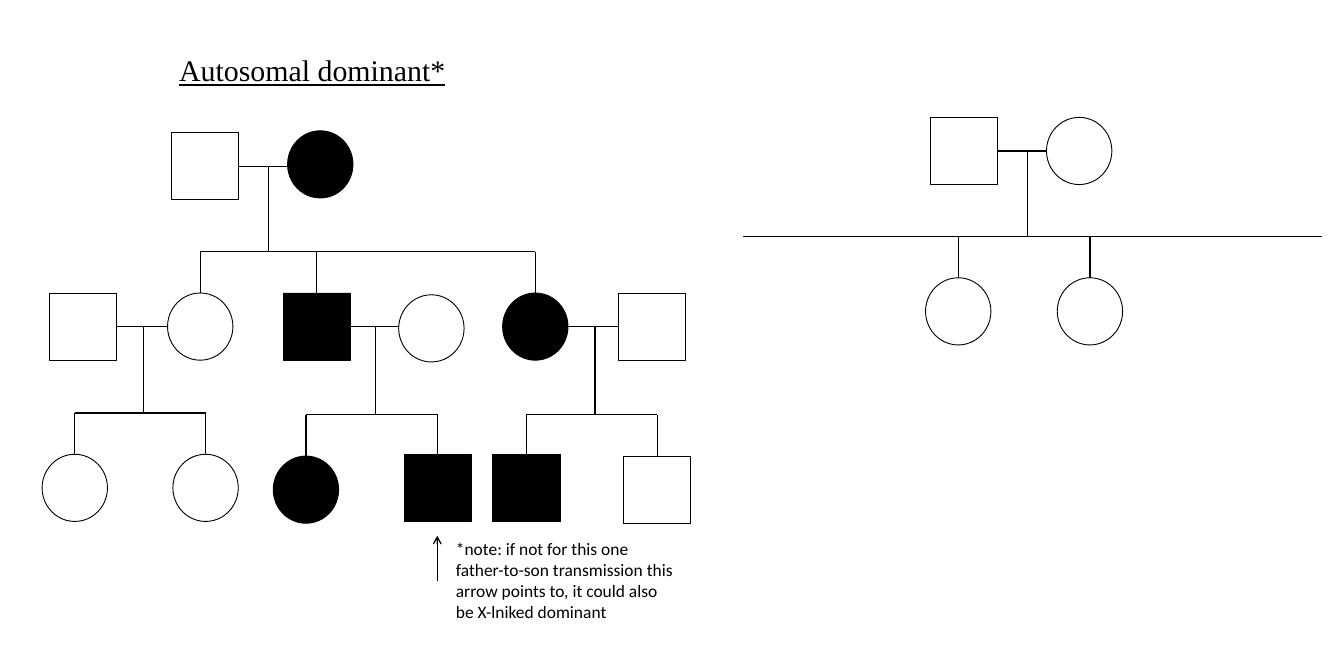
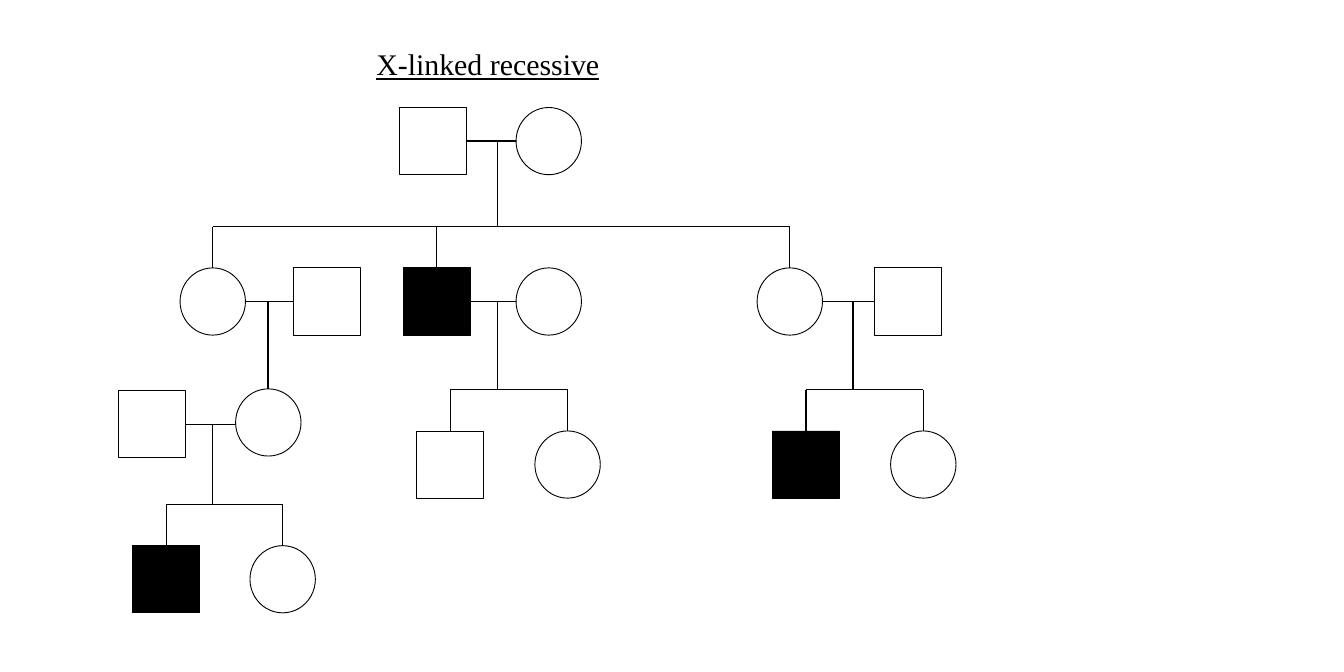
import pptx
import pptx.util
import pptx.dml.color
import pptx.enum.shapes
import pptx.enum.text
import pptx.oxml.ns
import pptx.oxml.xmlchemy

BLACK = pptx.dml.color.RGBColor(0x00, 0x00, 0x00)
WHITE = pptx.dml.color.RGBColor(0xFF, 0xFF, 0xFF)

SHAPES = pptx.enum.shapes.MSO_SHAPE
MALE = (SHAPES.RECTANGLE, 0.75)
FEMALE = (SHAPES.OVAL, 0.73)
SYMBOL_HEIGHT = 0.75
DROP = pptx.util.Inches(0.46)  # sibling bar to child
TOP, LEFT, RIGHT = 0, 1, 3  # connection sites of a rectangle

TITLE_FONT = {"name": "Times New Roman", "size": pptx.util.Pt(24), "underline": True}
NOTE_FONT = {"name": "Calibri", "size": pptx.util.Pt(14)}

# Person: sex, affected, left, top. Family: partners (left, right), stem, children.
# All lengths are inches from the corner of the pedigree box.
DOMINANT_PEOPLE = {
    "grandfather": (MALE, False, 1.44, 0.02),
    "grandmother": (FEMALE, True, 2.74, 0),
    "first husband": (MALE, False, 0.08, 1.81),
    "first daughter": (FEMALE, False, 1.40, 1.81),
    "son": (MALE, True, 2.69, 1.81),
    "son's wife": (FEMALE, False, 3.98, 1.83),
    "second daughter": (FEMALE, True, 5.14, 1.81),
    "second husband": (MALE, False, 6.43, 1.81),
    "girl 1": (FEMALE, False, 0, 3.61),
    "girl 2": (FEMALE, False, 1.46, 3.61),
    "girl 3": (FEMALE, True, 2.58, 3.63),
    "boy 1": (MALE, True, 4.04, 3.61),
    "boy 2": (MALE, True, 5.03, 3.61),
    "boy 3": (MALE, False, 6.49, 3.63),
}
DOMINANT_FAMILIES = [
    ("grandfather", "grandmother", 2.53, ["first daughter", "son", "second daughter"]),
    ("first husband", "first daughter", 1.13, ["girl 1", "girl 2"]),
    ("son", "son's wife", 3.72, ["girl 3", "boy 1"]),
    ("second daughter", "second husband", 6.17, ["boy 2", "boy 3"]),
]

UNAFFECTED_PEOPLE = {
    "father": (MALE, False, 2.09, 0),
    "mother": (FEMALE, False, 3.39, 0),
    "daughter 1": (FEMALE, False, 2.04, 1.79),
    "daughter 2": (FEMALE, False, 3.51, 1.79),
}
UNAFFECTED_FAMILIES = [("father", "mother", 3.18, ["daughter 1", "daughter 2"])]

RECESSIVE_PEOPLE = {
    "grandfather": (MALE, False, 3.14, 0),
    "grandmother": (FEMALE, False, 4.44, 0),
    "first daughter": (FEMALE, False, 0.69, 1.79),
    "first husband": (MALE, False, 1.95, 1.79),
    "son": (MALE, True, 3.18, 1.79),
    "son's wife": (FEMALE, False, 4.44, 1.79),
    "second daughter": (FEMALE, False, 7.13, 1.79),
    "second husband": (MALE, False, 8.44, 1.79),
    "granddaughter": (FEMALE, False, 1.31, 3.14),
    "her husband": (MALE, False, 0, 3.16),
    "boy 1": (MALE, False, 3.33, 3.61),
    "girl 1": (FEMALE, False, 4.65, 3.61),
    "boy 2": (MALE, True, 7.30, 3.61),
    "girl 2": (FEMALE, False, 8.62, 3.61),
    "great-grandson": (MALE, True, 0.16, 4.89),
    "great-granddaughter": (FEMALE, False, 1.47, 4.89),
}
RECESSIVE_FAMILIES = [
    ("grandfather", "grandmother", 4.23, ["first daughter", "son", "second daughter"]),
    ("first daughter", "first husband", 1.67, ["granddaughter"]),
    ("son", "son's wife", 4.23, ["boy 1", "girl 1"]),
    ("second daughter", "second husband", 8.20, ["boy 2", "girl 2"]),
    ("her husband", "granddaughter", 1.05, ["great-grandson", "great-granddaughter"]),
]


def set_values(target, values):
    for name, value in values.items():
        setattr(target, name, value)


def to_inches(*lengths):
    return [pptx.util.Inches(length) for length in lengths]


def add_line(page, x1, y1, x2, y2):
    line = page.shapes.add_connector(
        pptx.enum.shapes.MSO_CONNECTOR.STRAIGHT, x1, y1, x2, y2)
    line.line.color.rgb = BLACK
    line.line.width = pptx.util.Pt(1)
    line._element.spPr.append(pptx.oxml.xmlchemy.OxmlElement("a:effectLst"))
    return line


def add_arrow(page, x1, y1, x2, y2):
    arrow = add_line(page, x1, y1, x2, y2)
    head = pptx.oxml.xmlchemy.OxmlElement("a:tailEnd")
    head.set("type", "arrow")
    arrow._element.spPr.find(pptx.oxml.ns.qn("a:ln")).append(head)


def add_text(page, left, top, width, height, text, font, align):
    box = page.shapes.add_textbox(*to_inches(left, top, width, height))
    set_values(box.text_frame, {
        "word_wrap": True,
        "auto_size": pptx.enum.text.MSO_AUTO_SIZE.SHAPE_TO_FIT_TEXT,
    })
    para = box.text_frame.paragraphs[0]
    para.alignment = align
    span = para.add_run()
    span.text = text
    set_values(span.font, font)
    span.font.color.rgb = BLACK


def add_title(page, left, top, text):
    add_text(page, left, top, 5.03, 0.5, text, TITLE_FONT, pptx.enum.text.PP_ALIGN.CENTER)


def add_person(page, sex, affected, left, top):
    preset, width = sex
    person = page.shapes.add_shape(preset, *to_inches(left, top, width, SYMBOL_HEIGHT))
    person.shadow.inherit = False
    person.fill.solid()
    person.fill.fore_color.rgb = BLACK if affected else WHITE
    person.line.color.rgb = BLACK
    person.line.width = pptx.util.Pt(0.75)
    return person


def is_male(person):
    return person.auto_shape_type == SHAPES.RECTANGLE


def center(person):
    return person.left + person.width // 2


def add_family(page, first, second, stem, children, bar_ends):
    # Line between the partners, level with the middle of the square
    man = first if is_male(first) else second
    level = man.top + man.height // 2
    mates = add_line(page, first.left + first.width, level, second.left, level)
    if man is first:
        mates.begin_connect(man, RIGHT)
    else:
        mates.end_connect(man, LEFT)

    # An only child hangs straight from the stem
    lowest = max(child.top for child in children)
    if len(children) == 1:
        add_line(page, stem, level, stem, lowest)
        return

    # Stem, sibling bar and one drop for each child
    bar = lowest - DROP
    start, end = bar_ends or (center(children[0]), center(children[-1]))
    add_line(page, stem, level, stem, bar)
    add_line(page, start, bar, end, bar)
    for child in children:
        drop = add_line(page, center(child), bar, center(child), child.top)
        if is_male(child):
            drop.end_connect(child, TOP)


def add_pedigree(page, left, top, people, families, bar_width=None):
    persons = {
        name: add_person(page, sex, affected, left + x, top + y)
        for name, (sex, affected, x, y) in people.items()
    }
    bar_ends = to_inches(left, left + bar_width) if bar_width else None
    for first, second, stem, children in families:
        add_family(page, persons[first], persons[second], pptx.util.Inches(left + stem),
                   [persons[child] for child in children], bar_ends)


def add_note(page, left, top):
    add_arrow(page, *to_inches(left, top + 0.51, left, top))
    add_text(page, left + 0.11, top - 0.02, 2.66, 1.04,
             "*note: if not for this one father-to-son transmission this arrow "
             "points to, it could also be X-lniked dominant",
             NOTE_FONT, pptx.enum.text.PP_ALIGN.LEFT)


def build_dominant(page):
    add_title(page, 0.97, 0.53, "Autosomal dominant*")
    add_pedigree(page, 8.29, 1.31, UNAFFECTED_PEOPLE, UNAFFECTED_FAMILIES, bar_width=6.46)
    add_pedigree(page, 0.47, 1.46, DOMINANT_PEOPLE, DOMINANT_FAMILIES)
    add_note(page, 4.88, 5.98)


def build_recessive(page):
    add_title(page, 2.93, 0.46, "X-linked recessive")
    add_pedigree(page, 1.32, 1.2, RECESSIVE_PEOPLE, RECESSIVE_FAMILIES)


def main():
    deck = pptx.Presentation()
    set_values(deck, {
        "slide_width": pptx.util.Inches(15),
        "slide_height": pptx.util.Inches(7.5),
    })
    for build in (build_dominant, build_recessive):
        build(deck.slides.add_slide(deck.slide_layouts[6]))
    deck.save("out.pptx")


if __name__ == "__main__":
    main()
